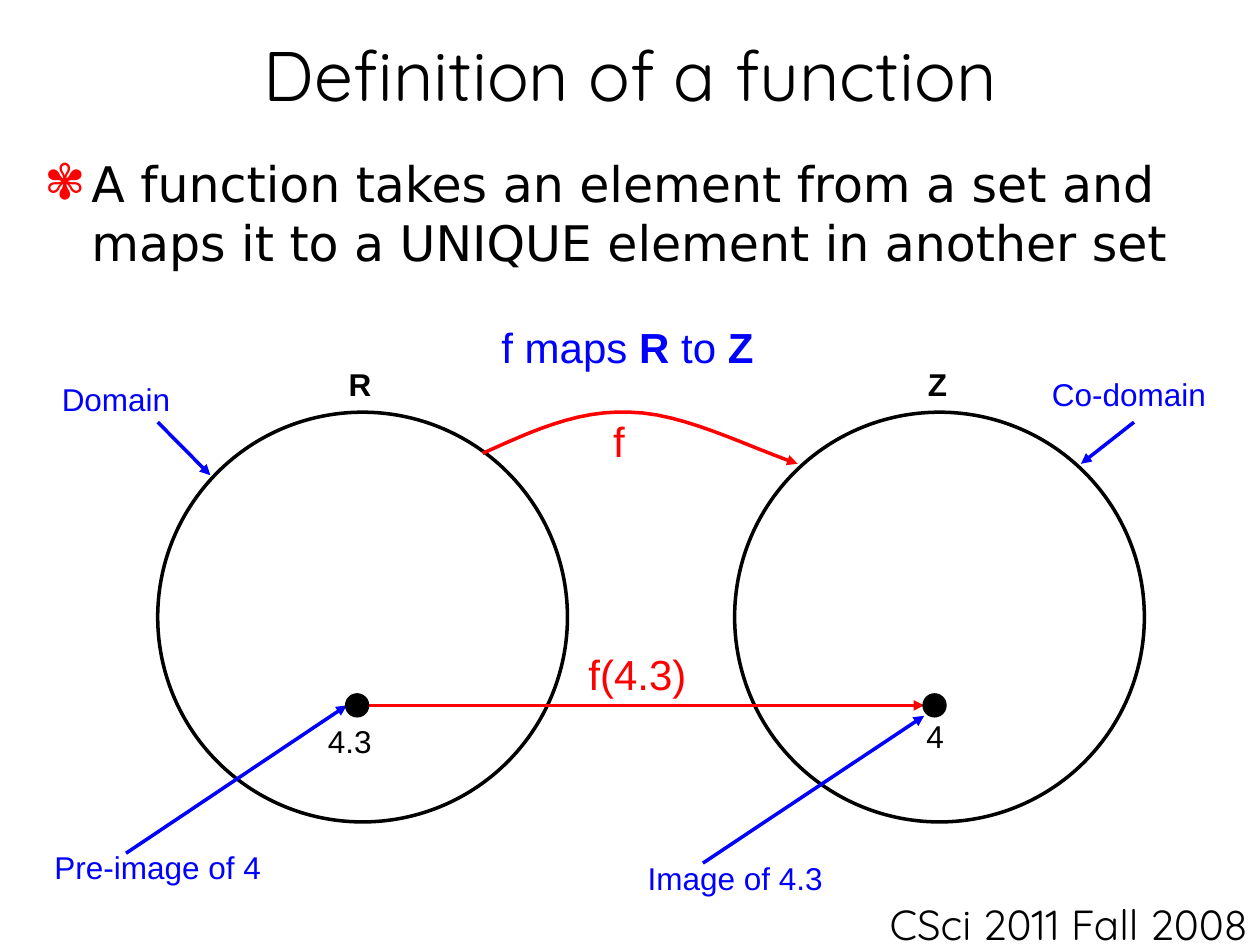
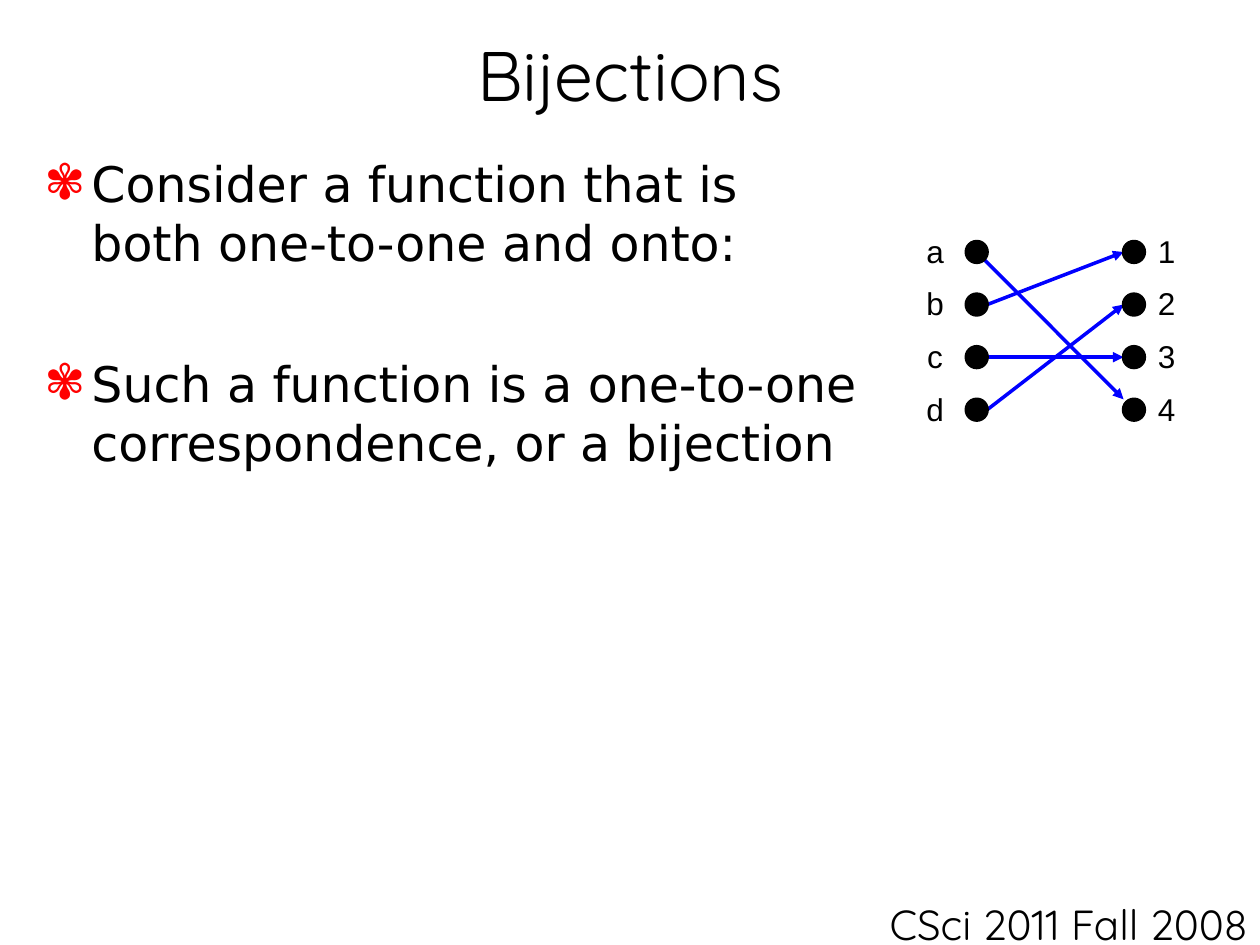
from dataclasses import dataclass

from lxml.etree import SubElement
from pptx import Presentation
from pptx.dml.color import RGBColor
from pptx.enum.shapes import MSO_CONNECTOR, MSO_SHAPE
from pptx.enum.text import MSO_ANCHOR, MSO_AUTO_SIZE, PP_ALIGN
from pptx.oxml.ns import qn
from pptx.util import Cm, Pt

BLACK = RGBColor(0x00, 0x00, 0x00)
RED = RGBColor(0xFF, 0x00, 0x00)
BLUE = RGBColor(0x00, 0x00, 0xFF)

TITLE_FONT = "Quicksand"
BODY_FONT = "DejaVu Sans"
LABEL_FONT = "Arial"

COURSE = "CSci 2011 Fall 2008"
LINE_WIDTH = Pt(2)
DOT_RADIUS = 0.21
SET_DIAMETER = 8.26
LABEL_HEIGHTS = {18: 1.02, 24: 1.27}  # text size to box height in cm

Point = tuple[float, float]  # all positions are in cm


@dataclass(frozen=True)
class Label:
    text: str
    center: float
    top: float
    width: float
    color: RGBColor = BLACK
    size: int = 18
    bold: bool = False
    line_spacing: float = 1.0


@dataclass(frozen=True)
class Arrow:
    start: Point
    end: Point
    color: RGBColor = BLUE


@dataclass(frozen=True)
class Mapping:
    source_row: int
    target_row: int
    start_offset: float = DOT_RADIUS
    end_rise: float = 0


# Shared helpers
def style_font(font, name: str, size: int, color: RGBColor = BLACK) -> None:
    font.name = name
    font.size = Pt(size)
    font.color.rgb = color


def place(shape, left: float, top: float, width: float, height: float) -> None:
    shape.left, shape.top = Cm(left), Cm(top)
    shape.width, shape.height = Cm(width), Cm(height)


def style_line(line, color: RGBColor, arrowhead: bool = False) -> None:
    line.color.rgb = color
    line.width = LINE_WIDTH
    if arrowhead:
        SubElement(line._get_or_add_ln(), qn("a:tailEnd"), type="triangle")


def add_bullet(paragraph) -> None:
    properties = paragraph._p.get_or_add_pPr()
    properties.set("marL", str(Cm(0.95)))
    properties.set("indent", str(-Cm(0.95)))
    bullet_color = SubElement(properties, qn("a:buClr"))
    SubElement(bullet_color, qn("a:srgbClr"), val=str(RED))
    SubElement(properties, qn("a:buChar"), char="✾")


def add_content_slide(prs, heading: str, points: list[str]):
    slide = prs.slides.add_slide(prs.slide_layouts[1])

    # Course footer
    footer = slide.shapes.add_textbox(Cm(16.71), Cm(17.98), Cm(8.69), Cm(1.07))
    footer.text_frame.word_wrap = True
    footer.text_frame.text = COURSE
    course = footer.text_frame.paragraphs[0]
    course.alignment = PP_ALIGN.RIGHT
    style_font(course.font, TITLE_FONT, 24)

    # Title
    title = slide.shapes.title
    place(title, 0.64, 0.43, 24.13, 2.11)
    title.text_frame.text = heading
    title.text_frame.auto_size = MSO_AUTO_SIZE.NONE
    title.text_frame.vertical_anchor = MSO_ANCHOR.MIDDLE
    title.text_frame.paragraphs[0].alignment = PP_ALIGN.CENTER
    style_font(title.text_frame.paragraphs[0].font, TITLE_FONT, 40)

    # Bulleted statements
    body = slide.placeholders[1]
    place(body, 0.64, 2.97, 24.13, 14.6)
    body.text_frame.text = "\n".join(points)
    body.text_frame.auto_size = MSO_AUTO_SIZE.NONE
    for index, paragraph in enumerate(body.text_frame.paragraphs):
        paragraph.space_before = Pt(47 if index else 0)
        add_bullet(paragraph)
        style_font(paragraph.font, BODY_FONT, 28)
    return slide


def draw_label(shapes, label: Label):
    lines = label.text.count("\n") + 1
    height = LABEL_HEIGHTS[label.size] if lines == 1 else 4.52
    box = shapes.add_textbox(Cm(label.center - label.width / 2), Cm(label.top),
                             Cm(label.width), Cm(height))
    frame = box.text_frame
    frame.word_wrap = False
    frame.auto_size = MSO_AUTO_SIZE.SHAPE_TO_FIT_TEXT
    frame.text = label.text
    for paragraph in frame.paragraphs:
        paragraph.alignment = PP_ALIGN.CENTER
        paragraph.line_spacing = label.line_spacing
        style_font(paragraph.font, LABEL_FONT, label.size, label.color)
        if label.bold:
            paragraph.font.bold = True
    return box


def draw_arrow(shapes, arrow: Arrow) -> None:
    connector = shapes.add_connector(
        MSO_CONNECTOR.STRAIGHT, *map(Cm, arrow.start + arrow.end))
    style_line(connector.line, arrow.color, arrowhead=True)
    SubElement(connector._element.spPr, qn("a:effectLst"))


def draw_circle(shapes, left: float, top: float, diameter: float):
    circle = shapes.add_shape(MSO_SHAPE.OVAL, Cm(left), Cm(top),
                              Cm(diameter), Cm(diameter))
    circle.shadow.inherit = False
    circle.fill.background()
    style_line(circle.line, BLACK)
    return circle


def draw_dot(shapes, center: Point) -> None:
    dot = draw_circle(shapes, center[0] - DOT_RADIUS, center[1] - DOT_RADIUS,
                      2 * DOT_RADIUS)
    dot.fill.solid()
    dot.fill.fore_color.rgb = BLACK


def bezier(controls: list[Point], steps: int = 12) -> list[Point]:
    a, b, c, d = controls
    points = []
    for step in range(1, steps + 1):
        t = step / steps
        u = 1 - t
        points.append(tuple(
            u**3 * a[i] + 3 * u * u * t * b[i] + 3 * u * t * t * c[i] + t**3 * d[i]
            for i in (0, 1)))
    return points


def draw_curved_arrow(shapes, start: Point, curves: list[list[Point]]) -> None:
    points = [start]
    for curve in curves:
        points += bezier([points[-1], *curve])
    vertices = [(Cm(x), Cm(y)) for x, y in points]
    builder = shapes.build_freeform(*vertices[0])
    builder.add_line_segments(vertices[1:], close=False)
    arc = builder.convert_to_shape()
    arc.shadow.inherit = False
    arc.fill.background()
    style_line(arc.line, RED, arrowhead=True)


# Slide 1: a function between two sets
def build_definition(prs) -> None:
    slide = add_content_slide(prs, "Definition of a function", [
        "A function takes an element from a set and "
        "maps it to a UNIQUE element in another set"])
    shapes = slide.shapes

    for set_left in (3.18, 14.81):
        draw_circle(shapes, set_left, 8.31, SET_DIAMETER)

    draw_curved_arrow(shapes, (9.73, 9.14), [
        [(10.69, 8.71), (11.63, 8.26), (12.7, 8.31)],
        [(13.77, 8.33), (14.99, 8.97), (16.08, 9.35)]])

    element_y = 14.22
    pre_image_x, image_x = 7.2, 18.84
    arrows = [
        Arrow((pre_image_x + DOT_RADIUS, element_y),
              (image_x - DOT_RADIUS, element_y), RED),
        Arrow((3.18, 8.51), (4.24, 9.58)),
        Arrow((22.86, 8.51), (21.79, 9.35)),
        Arrow((2.54, 17.2), (pre_image_x - DOT_RADIUS, element_y)),
        Arrow((14.17, 17.4), (image_x - DOT_RADIUS, element_y + DOT_RADIUS)),
    ]
    for arrow in arrows:
        draw_arrow(shapes, arrow)
    for element_x in (pre_image_x, image_x):
        draw_dot(shapes, (element_x, element_y))

    labels = [
        Label("R", 7.26, 7.24, 0.97, bold=True),
        Label("Z", 18.9, 7.24, 0.97, bold=True),
        Label("f", 12.48, 8.26, 0.74, RED, 24),
        Label("4.3", 7.05, 14.43, 1.4),
        Label("4", 18.85, 14.33, 0.86),
        Label("Domain", 2.34, 7.54, 2.69, BLUE),
        Label("Co-domain", 22.76, 7.44, 3.61, BLUE),
        Label("Pre-image of 4", 3.18, 16.97, 4.67, BLUE),
        Label("Image of 4.3", 14.82, 17.2, 4.04, BLUE),
        Label("f(4.3)", 12.85, 12.95, 2.49, RED, 24),
    ]
    for label in labels:
        draw_label(shapes, label)

    # Caption with bold set names
    caption = draw_label(shapes, Label("", 12.65, 6.35, 5.59, BLUE, 24))
    for words, is_set in (("f maps ", False), ("R", True),
                          (" to ", False), ("Z", True)):
        run = caption.text_frame.paragraphs[0].add_run()
        run.text = words
        run.font.bold = is_set


# Slide 2: a one-to-one correspondence
def build_bijections(prs) -> None:
    slide = add_content_slide(prs, "Bijections", [
        "Consider a function that is\vboth one-to-one and onto:",
        "Such a function is a one-to-one correspondence, or a bijection"])
    shapes = slide.shapes.add_group_shape().shapes

    domain_x, codomain_x = 19.69, 22.86
    rows = [5.08 + 1.06 * row for row in range(4)]

    for names, center in (("1234", 23.52), ("abcd", 18.85)):
        draw_label(shapes, Label("\n".join(names), center, 4.24, 0.86,
                                 line_spacing=1.4))

    mappings = [Mapping(2, 2), Mapping(0, 3, start_offset=0, end_rise=DOT_RADIUS),
                Mapping(3, 1), Mapping(1, 0)]
    for mapping in mappings:
        draw_arrow(shapes, Arrow(
            (domain_x + mapping.start_offset, rows[mapping.source_row]),
            (codomain_x - DOT_RADIUS, rows[mapping.target_row] - mapping.end_rise)))

    for column_x in (domain_x, codomain_x):
        for row_y in rows:
            draw_dot(shapes, (column_x, row_y))


def main() -> None:
    prs = Presentation()
    prs.slide_width, prs.slide_height = Cm(25.4), Cm(19.05)
    build_definition(prs)
    build_bijections(prs)
    prs.save("out.pptx")


if __name__ == "__main__":
    main()
